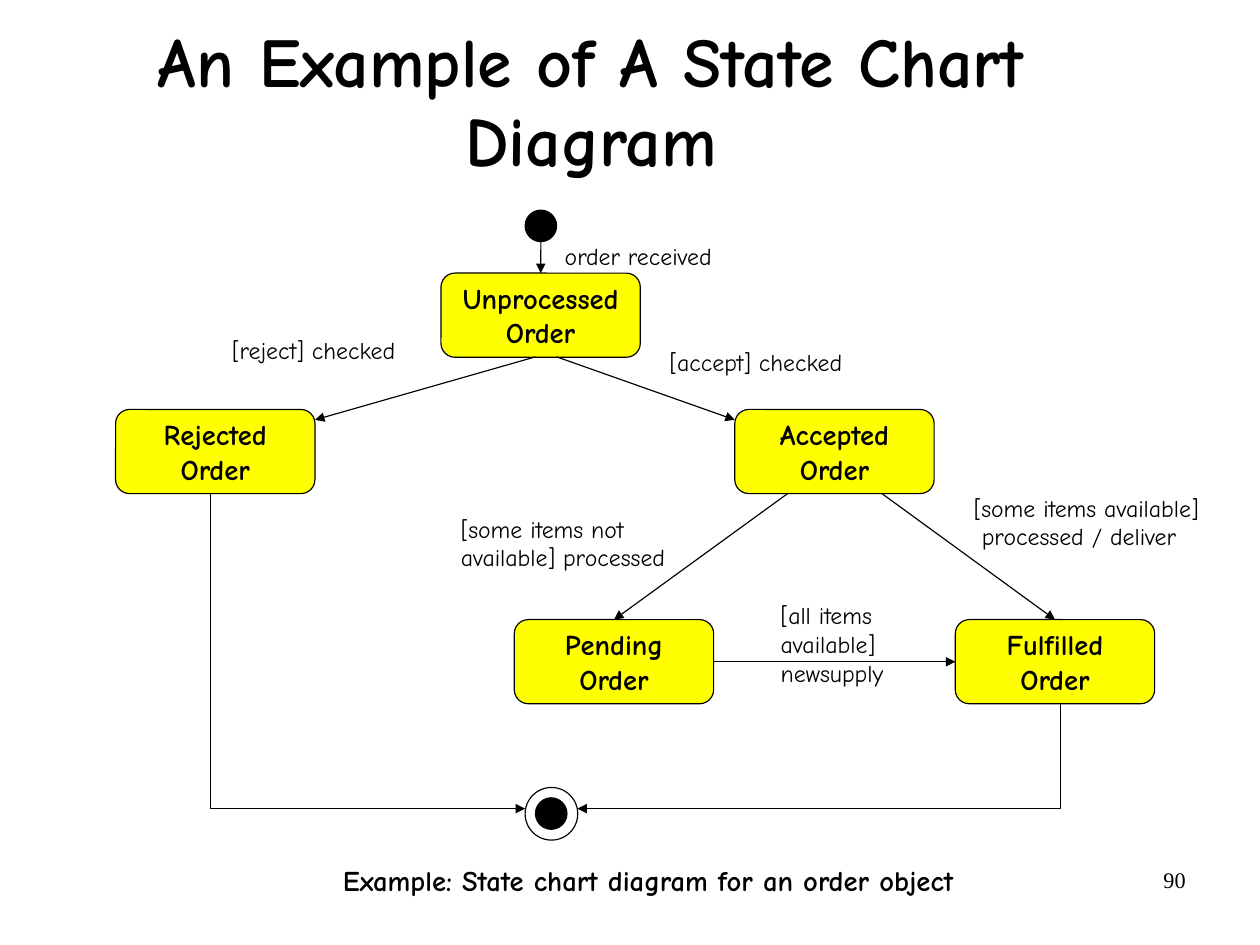
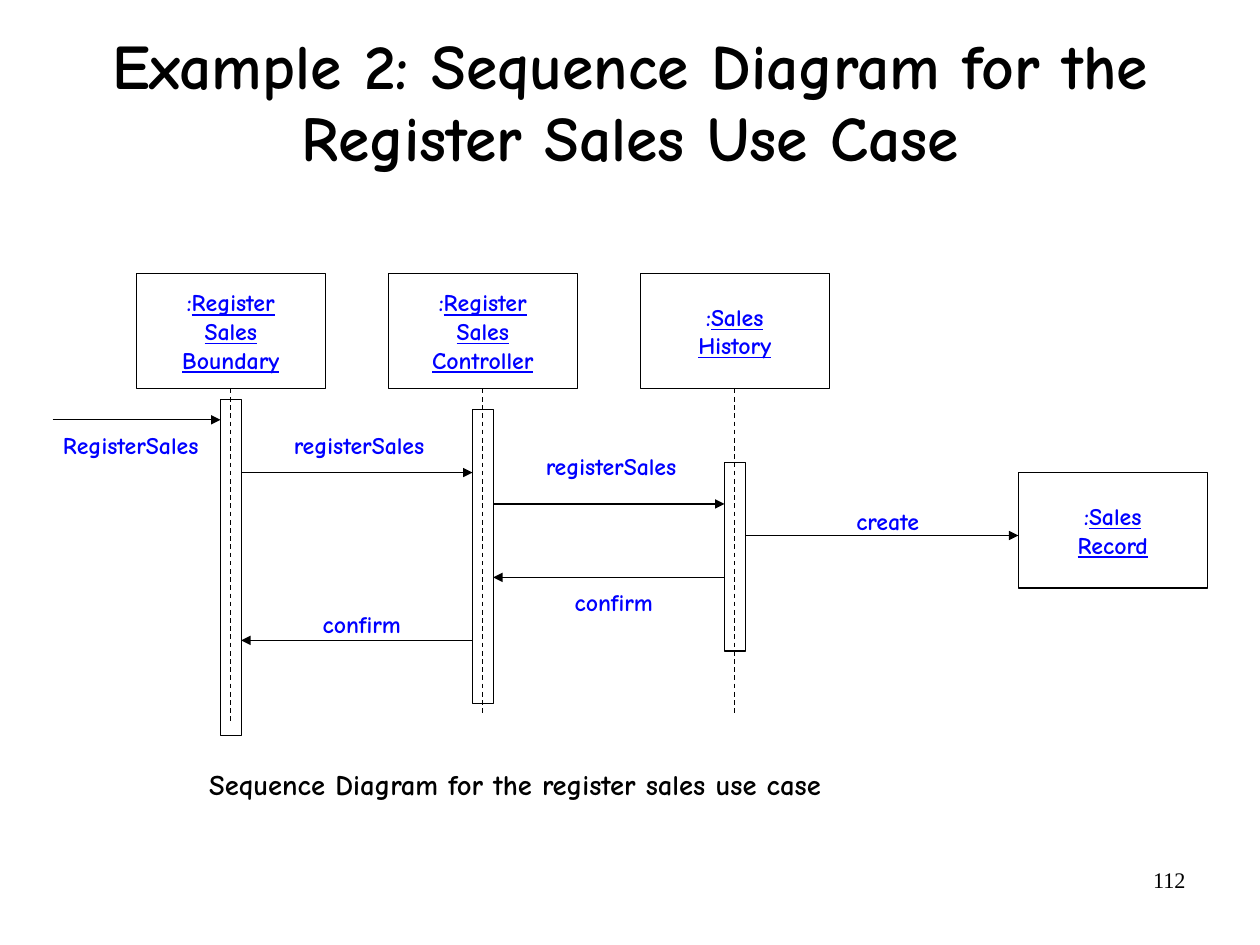
from dataclasses import dataclass

from lxml.etree import SubElement
from pptx import Presentation
from pptx.dml.color import RGBColor
from pptx.enum.dml import MSO_LINE
from pptx.enum.shapes import MSO_CONNECTOR, MSO_SHAPE
from pptx.enum.text import MSO_ANCHOR, MSO_AUTO_SIZE, PP_ALIGN
from pptx.oxml.ns import qn
from pptx.util import Cm, Pt


@dataclass(frozen=True)
class Theme:
    ink: RGBColor = RGBColor(0x00, 0x00, 0x00)
    state: RGBColor = RGBColor(0xFF, 0xFF, 0x00)
    message: RGBColor = RGBColor(0x00, 0x00, 0xFF)
    font: str = "Comic Neue"
    number_font: str = "Times New Roman"
    heading: int = 18
    label: int = 15
    number: int = 14
    line: float = 0.75


THEME = Theme()
TOP, LEFT, BOTTOM, RIGHT = range(4)


def write(shape, text, *, size=THEME.label, color=THEME.ink, font=THEME.font,
          bold=False, underline=False, align=PP_ALIGN.LEFT, wrap=False,
          anchor=MSO_ANCHOR.TOP, spacing=1.0):
    """Fill a shape, one paragraph a line; a leading colon is never underlined."""
    frame = shape.text_frame
    frame.auto_size = MSO_AUTO_SIZE.NONE
    frame.word_wrap = wrap
    frame.vertical_anchor = anchor
    frame.margin_left = frame.margin_right = 0
    frame.margin_top = frame.margin_bottom = 0
    for index, line in enumerate(text.split("\n")):
        paragraph = frame.add_paragraph() if index else frame.paragraphs[0]
        paragraph.alignment = align
        paragraph.line_spacing = spacing
        for part in [":", line[1:]] if line.startswith(":") else [line]:
            run = paragraph.add_run()
            run.text = part
            run.font.name = font
            run.font.size = Pt(size)
            run.font.bold = bold
            run.font.underline = underline and part != ":"
            run.font.color.rgb = color


def outline(shape, *, arrow=False, dashed=False):
    """Give a shape or connector the thin black line, without a shadow."""
    shape.line.color.rgb = THEME.ink
    shape.line.width = Pt(THEME.line)
    if dashed:
        shape.line.dash_style = MSO_LINE.DASH
    properties = shape._element.spPr
    if arrow:
        SubElement(properties.find(qn("a:ln")), qn("a:tailEnd"), type="triangle")
    SubElement(properties, qn("a:effectLst"))


prs = Presentation()
prs.slide_width, prs.slide_height = Cm(28), Cm(21)

# Title, page number and caption of each slide
pages = [
    ("An Example of A State Chart Diagram", 44, (1.24, 0.41, 23.8, 3.78), "90",
     "Example: State chart diagram for an order object", (7.62, 19.17)),
    ("Example 2: Sequence Diagram for the Register Sales Use Case", 40,
     (0.71, 0.51, 26.59, 3.61), "112",
     "Sequence Diagram for the register sales use case", (4.65, 17.04)),
]
for heading, size, place, number, caption, (x, y) in pages:
    slide = prs.slides.add_slide(prs.slide_layouts[5])
    title = slide.shapes.title
    title.left, title.top, title.width, title.height = map(Cm, place)
    write(title, heading, size=size, bold=True, align=PP_ALIGN.CENTER, wrap=True,
          anchor=MSO_ANCHOR.MIDDLE, spacing=0.94)
    page_number = slide.shapes.add_textbox(Cm(20.07), Cm(19.25), Cm(6.28), Cm(1.2))
    write(page_number, number, size=THEME.number, font=THEME.number_font,
          align=PP_ALIGN.RIGHT, wrap=True)
    caption_box = slide.shapes.add_textbox(Cm(x), Cm(y), Cm(13.67), Cm(0.76))
    write(caption_box, caption, size=THEME.heading, bold=True)

state_chart, sequence = (slide.shapes for slide in prs.slides)

# State chart: states
states = {}
for name, x, y in [("Unprocessed", 9.8, 6.07), ("Rejected", 2.57, 9.1),
                   ("Accepted", 16.33, 9.1), ("Pending", 11.43, 13.77),
                   ("Fulfilled", 21.23, 13.77)]:
    state = state_chart.add_shape(MSO_SHAPE.ROUNDED_RECTANGLE,
                                  Cm(x), Cm(y), Cm(4.43), Cm(1.87))
    state.fill.solid()
    state.fill.fore_color.rgb = THEME.state
    outline(state)
    write(state, f"{name}\nOrder", size=THEME.heading, bold=True,
          align=PP_ALIGN.CENTER, anchor=MSO_ANCHOR.MIDDLE)
    states[name] = state

# State chart: start dot, end dot and the ring around the end dot
for x, y, diameter, filled in [(11.67, 4.67, 0.7, True), (11.9, 17.73, 0.7, True),
                               (11.67, 17.5, 1.17, False)]:
    dot = state_chart.add_shape(MSO_SHAPE.OVAL, Cm(x), Cm(y),
                                Cm(diameter), Cm(diameter))
    if filled:
        dot.fill.solid()
        dot.fill.fore_color.rgb = THEME.ink
    else:
        dot.fill.background()
    outline(dot)

# State chart: transitions, joined where they meet the middle of a side
transitions = [
    ((12.02, 5.37), (12.02, 6.07), None, ("Unprocessed", TOP)),
    ((11.9, 7.93), (7, 9.33), None, None),
    ((12.37, 7.93), (16.33, 9.33), None, None),
    ((18.43, 10.97), (13.65, 13.77), None, ("Pending", TOP)),
    ((19.6, 10.97), (23.45, 13.77), None, ("Fulfilled", TOP)),
    ((15.86, 14.7), (21.23, 14.7), ("Pending", RIGHT), ("Fulfilled", LEFT)),
]
transitions[3] = ((17.5, 10.97), *transitions[3][1:])
for start, end, source, target in transitions:
    transition = state_chart.add_connector(MSO_CONNECTOR.STRAIGHT,
                                           *map(Cm, start + end))
    if source:
        transition.begin_connect(states[source[0]], source[1])
    if target:
        transition.end_connect(states[target[0]], target[1])
    outline(transition, arrow=True)

for x, top, ring_side in [(4.67, 10.97, 11.67), (23.57, 15.63, 12.83)]:
    builder = state_chart.build_freeform(Cm(x), Cm(top))
    builder.add_line_segments([(Cm(x), Cm(17.97)), (Cm(ring_side), Cm(17.97))],
                              close=False)
    final_transition = builder.convert_to_shape()
    final_transition.fill.background()
    outline(final_transition, arrow=True)

# State chart: events
for text, x, y, width in [
    ("order received", 12.55, 5.38, 3.3),
    ("[reject] checked", 5.16, 7.47, 3.66),
    ("[accept] checked", 14.88, 7.72, 4.04),
    ("[some items not\navailable] processed", 10.24, 11.43, 4.57),
    ("[all items\navailable]\nnewsupply", 17.35, 13.36, 2.29),
    ("[some items available]\nprocessed / deliver", 21.64, 10.97, 5.03),
]:
    event = state_chart.add_textbox(Cm(x), Cm(y), Cm(width),
                                    Cm(0.64 * len(text.split("\n"))))
    write(event, text)
delivery = event.text_frame.paragraphs[1]
delivery._p.get_or_add_pPr().set("marL", str(Cm(0.18)))

# Sequence diagram: participants
participants = []
for text, x, y in [(":Register\nSales\nBoundary", 3.03, 6.07),
                   (":Register\nSales\nController", 8.63, 6.07),
                   (":Sales\nHistory", 14.23, 6.07),
                   (":Sales\nRecord", 22.63, 10.5)]:
    participant = sequence.add_shape(MSO_SHAPE.RECTANGLE,
                                     Cm(x), Cm(y), Cm(4.2), Cm(2.57))
    participant.fill.background()
    outline(participant)
    write(participant, text, color=THEME.message, bold=True, underline=True,
          align=PP_ALIGN.CENTER, anchor=MSO_ANCHOR.MIDDLE)
    participants.append(participant)

# Sequence diagram: activation bars and lifelines
for participant, bar_top, bar_height, life_end in zip(
        participants, (8.87, 9.1, 10.27), (7.47, 6.53, 4.2), (16.1, 15.87, 15.87)):
    center = participant.left + participant.width // 2
    activation = sequence.add_shape(MSO_SHAPE.RECTANGLE, center - Cm(0.23),
                                    Cm(bar_top), Cm(0.46), Cm(bar_height))
    activation.fill.background()
    outline(activation)
    lifeline = sequence.add_connector(MSO_CONNECTOR.STRAIGHT, center, Cm(8.64),
                                      center, Cm(life_end))
    lifeline.begin_connect(participant, BOTTOM)
    outline(lifeline, dashed=True)

# Sequence diagram: messages with their labels
for text, start, end, y, label_x, label_y, width in [
    ("RegisterSales", 1.17, 4.9, 9.33, 1.4, 9.57, 3.02),
    ("registerSales", 5.36, 10.5, 10.5, 6.53, 9.57, 2.92),
    ("registerSales", 10.96, 16.1, 11.2, 12.13, 10.03, 2.92),
    ("create", 16.56, 22.63, 11.9, 19.03, 11.26, 1.42),
    ("confirm", 16.1, 10.96, 12.83, 12.77, 13.07, 1.75),
    ("confirm", 10.5, 5.36, 14.23, 7.17, 13.54, 1.75),
]:
    message = sequence.add_connector(MSO_CONNECTOR.STRAIGHT,
                                     Cm(start), Cm(y), Cm(end), Cm(y))
    outline(message, arrow=True)
    message_label = sequence.add_textbox(Cm(label_x), Cm(label_y),
                                         Cm(width), Cm(0.64))
    write(message_label, text, color=THEME.message, bold=True)

prs.save("out.pptx")
